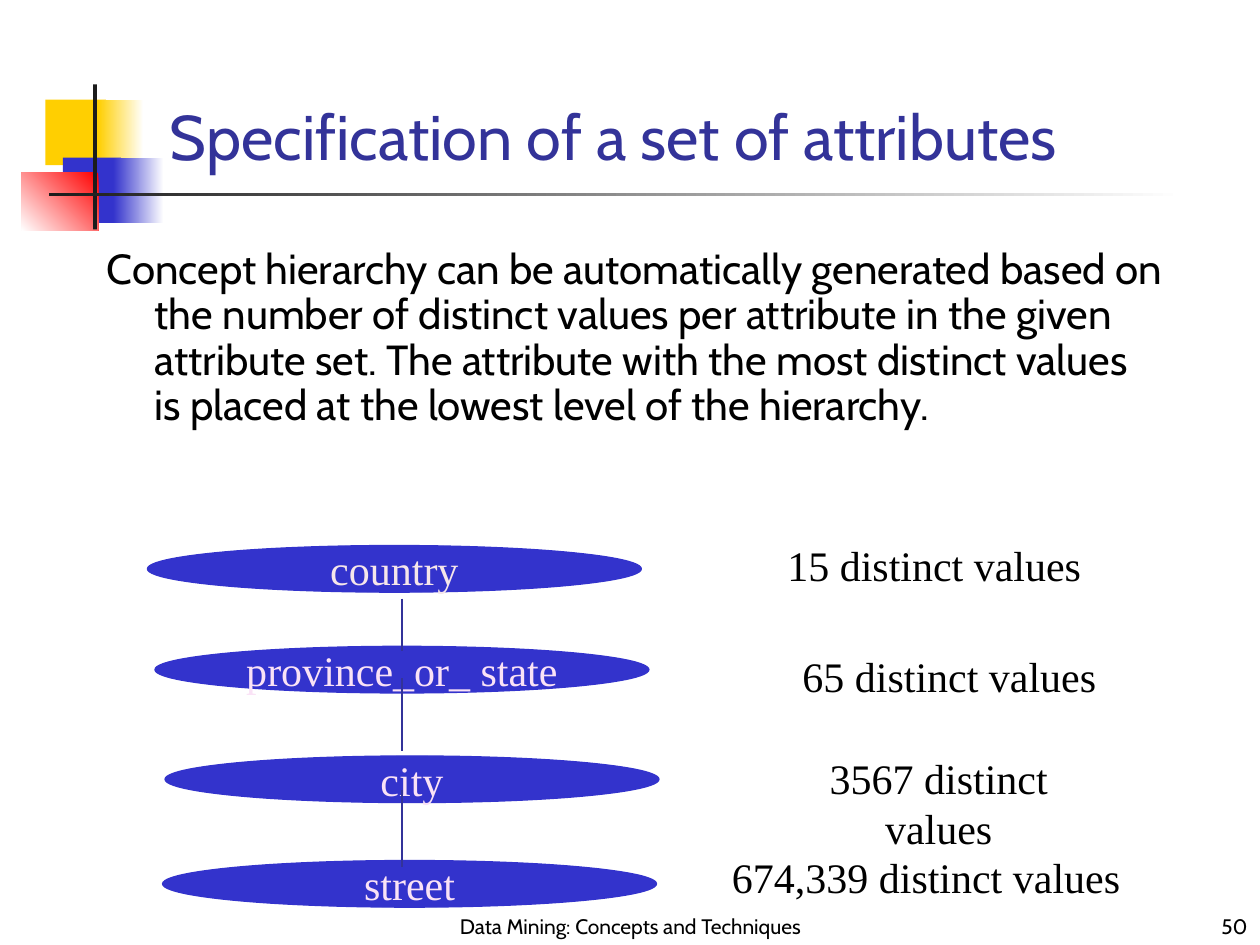
from dataclasses import dataclass
from pptx import Presentation
from pptx.dml.color import RGBColor
from pptx.enum.shapes import MSO_CONNECTOR as CONN, MSO_SHAPE as SHAPE
from pptx.enum.text import MSO_ANCHOR as ANCHOR, PP_ALIGN as ALIGN
from pptx.oxml.ns import qn
from pptx.util import Inches, Pt
from lxml.etree import SubElement


@dataclass(frozen=True)
class Theme:
    sans: str = "Cabin"
    serif: str = "Times New Roman"
    title_size: int = 36
    text_size: int = 24
    footer_size: int = 12
    black: str = "000000"
    white: str = "FFFFFF"
    yellow: str = "FFCF01"
    blue: str = "3333CC"
    red: str = "FF0000"
    dark: str = "1C1C1C"
    navy: str = "333399"
    pale: str = "F6E6EA"
    pink: str = "FAE2F6"


T = Theme()
rgb = RGBColor.from_string

prs = Presentation()
prs.slide_width, prs.slide_height = Inches(10), Inches(7.5)
s = prs.slides.add_slide(prs.slide_layouts[6])


def add_shape(kind, box, colors, angle=180):
    sp = s.shapes.add_shape(kind, *map(Inches, box))
    sp.shadow.inherit = False
    sp.line.fill.background()
    if len(colors) == 1:
        sp.fill.solid()
        sp.fill.fore_color.rgb = rgb(colors[0])
    else:
        sp.fill.gradient()
        sp.fill.gradient_angle = angle
        for stop, color in zip(sp.fill.gradient_stops, colors):
            stop.color.rgb = rgb(color)
    return sp


def set_text(sp, text, font, size, color, align=ALIGN.LEFT, anchor=ANCHOR.TOP, wrap=True):
    tf = sp.text_frame
    tf.word_wrap = wrap
    tf.vertical_anchor = anchor
    p = tf.paragraphs[0]
    p.text = text
    p.alignment = align
    p.font.name, p.font.size = font, Pt(size)
    p.font.color.rgb = rgb(color)
    return p


decorations = [
    ((0.36, 0.79, 0.48, 0.52), [T.yellow], 0),
    ((0.78, 0.79, 0.36, 0.52), [T.white, T.yellow], 180),
    ((0.5, 1.25, 0.46, 0.52), [T.blue], 0),
    ((0.9, 1.25, 0.4, 0.52), [T.white, T.blue], 180),
    ((0.17, 1.37, 0.61, 0.46), [T.red, T.white], 225),
    ((0.74, 0.67, 0.03, 1.15), [T.dark], 0),
    ((0.39, 1.53, 9, 0.03), [T.white, T.dark], 180),
]
for box, colors, angle in decorations:
    add_shape(SHAPE.RECTANGLE, box, colors, angle)

title = s.shapes.add_textbox(Inches(1.25), Inches(0.75), Inches(8.52), Inches(0.67))
set_text(title, "Specification of a set of attributes", T.sans, T.title_size, T.navy,
         anchor=ANCHOR.BOTTOM)

body = s.shapes.add_textbox(Inches(0.75), Inches(1.92), Inches(8.58), Inches(2.08))
p = set_text(body, "Concept hierarchy can be automatically generated based on the number of "
             "distinct values per attribute in the given attribute set. The attribute with the "
             "most distinct values is placed at the lowest level of the hierarchy.",
             T.sans, T.text_size, T.black)
p.line_spacing = 0.9
pPr = p._p.get_or_add_pPr()
pPr.set("marL", str(Inches(0.38)))
pPr.set("indent", str(Inches(-0.38)))

levels = [
    ("country", 1.17, 4.33, T.pale),
    ("province_or_ state", 1.23, 5.13, T.pink),
    ("city", 1.31, 6, T.pink),
    ("street", 1.29, 6.83, T.pink),
]
for name, left, top, color in levels:
    sp = add_shape(SHAPE.OVAL, (left, top, 3.92, 0.37), [T.blue])
    sp.line.color.rgb = rgb(T.blue)
    sp.line.width = Pt(0.75)
    set_text(sp, name, T.serif, T.text_size, color, ALIGN.CENTER, ANCHOR.MIDDLE, wrap=False)

for top, bottom in [(4.75, 5.17), (5.38, 5.96), (6.27, 6.88)]:
    link = s.shapes.add_connector(CONN.STRAIGHT, Inches(3.19), Inches(top),
                                  Inches(3.19), Inches(bottom))
    link.line.color.rgb = rgb(T.navy)
    link.line.width = Pt(0.75)
    SubElement(link._element.spPr, qn("a:effectLst"))

counts = [
    ("15", 6.15, 4.23, 2.53),
    ("65", 6.27, 5.11, 2.53),
    ("3567", 6.02, 5.92, 2.86),
    ("674,339", 5.71, 6.71, 3.28),
]
for count, left, top, width in counts:
    sp = s.shapes.add_textbox(Inches(left), Inches(top), Inches(width), Inches(0.5))
    set_text(sp, f"{count} distinct values", T.serif, T.text_size, T.black, ALIGN.CENTER,
             wrap=False)

footers = [
    ("Data Mining: Concepts and Techniques", 3.42, 3.17, ALIGN.CENTER),
    ("50", 7.92, 2.08, ALIGN.RIGHT),
]
for text, left, width, align in footers:
    sp = s.shapes.add_textbox(Inches(left), Inches(7.08), Inches(width), Inches(0.42))
    set_text(sp, text, T.sans, T.footer_size, T.black, align, ANCHOR.BOTTOM)

prs.save("out.pptx")
